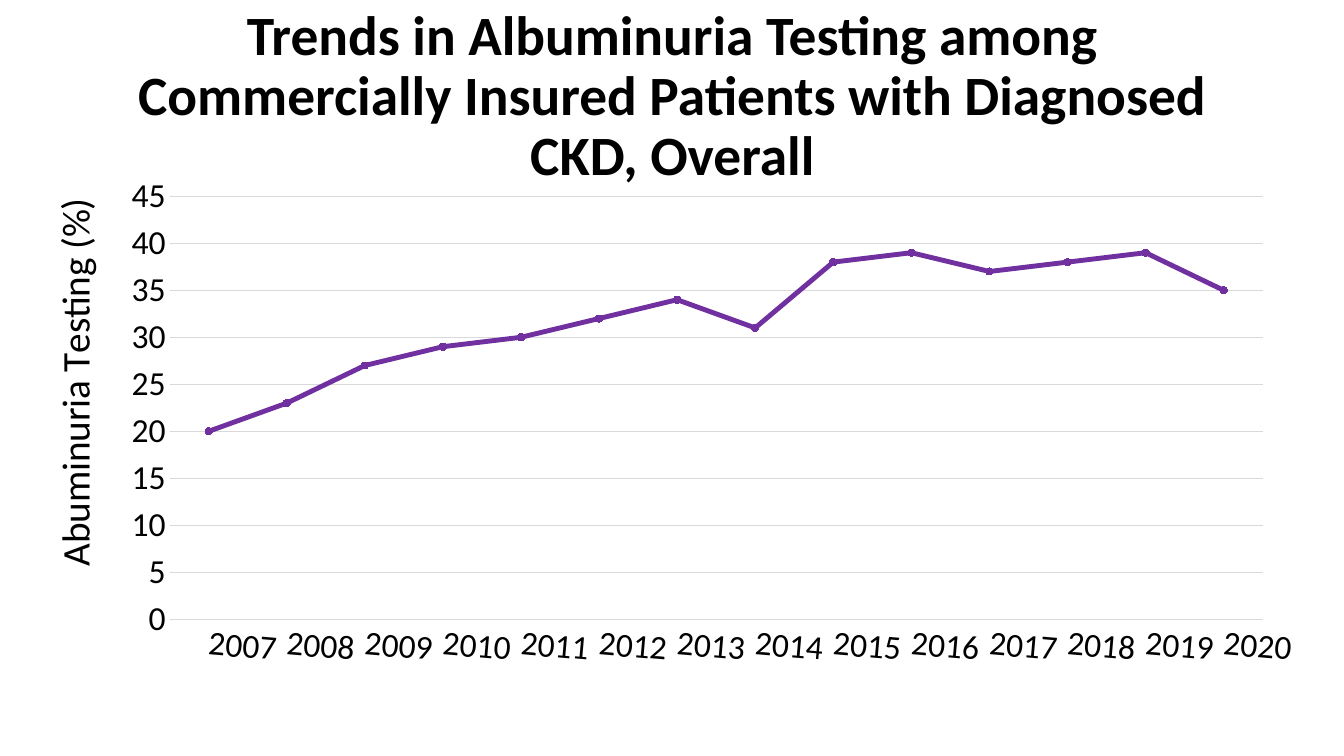
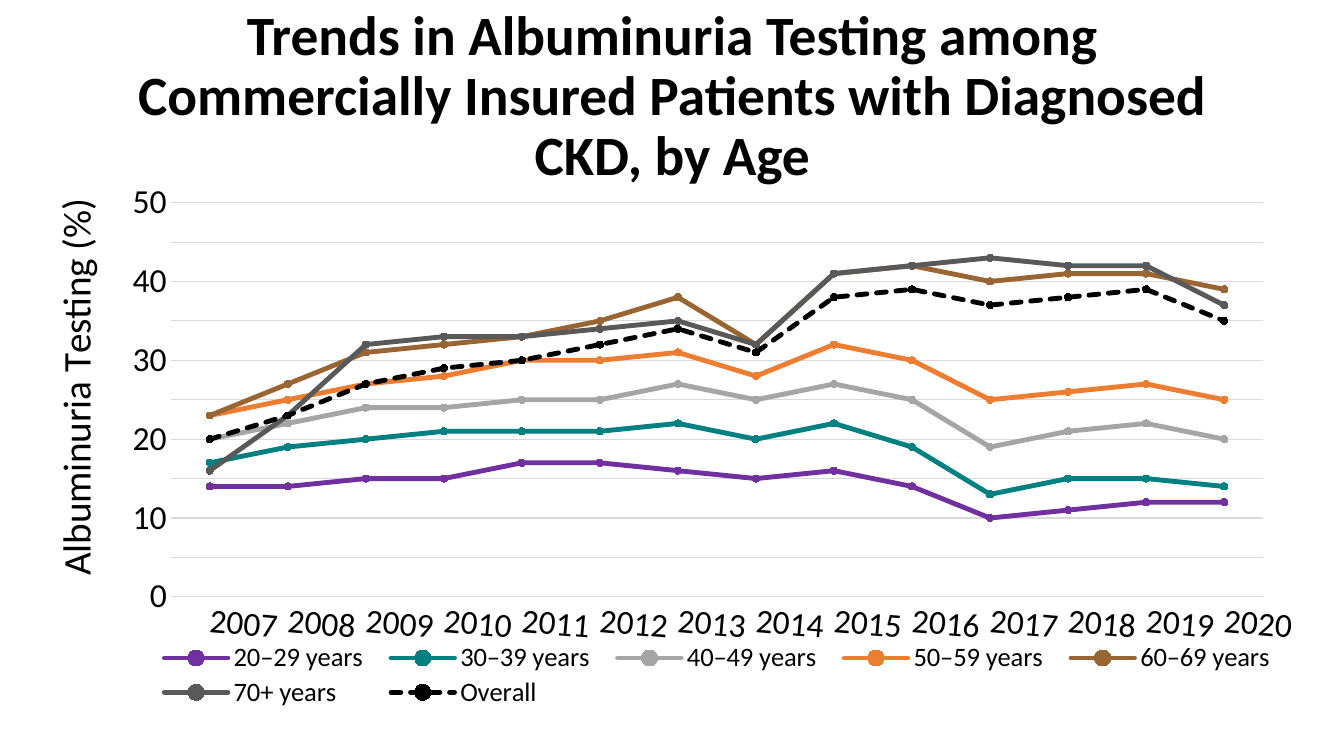
import copy
import dataclasses
import pptx
import pptx.chart.data
import pptx.dml.color
import pptx.enum.chart
import pptx.enum.dml
import pptx.enum.text
import pptx.oxml
import pptx.oxml.ns
import pptx.util

Cm = pptx.util.Cm
Pt = pptx.util.Pt
qn = pptx.oxml.ns.qn
LINE = pptx.enum.dml.MSO_LINE


@dataclasses.dataclass(frozen=True)
class Theme:
    font: str = "Calibri"
    ink: str = "000000"
    grid: str = "D9D9D9"
    violet: str = "7030A0"
    teal: str = "008080"
    silver: str = "A5A5A5"
    orange: str = "ED7D31"
    brown: str = "996633"
    slate: str = "595959"
    head: float = 39.6
    label: int = 28
    tick: int = 24
    key: int = 19
    base: int = 10
    rule: float = 0.75
    trace: float = 3.5
    dot: int = 5


THEME = Theme()
HEAD = "Trends in Albuminuria Testing among Commercially Insured Patients with Diagnosed CKD, "
YEARS = [str(year) for year in range(2007, 2021)]
TOTAL = [20, 23, 27, 29, 30, 32, 34, 31, 38, 39, 37, 38, 39, 35]
AGES = [
    ("20–29 years", THEME.violet, [14, 14, 15, 15, 17, 17, 16, 15, 16, 14, 10, 11, 12, 12]),
    ("30–39 years", THEME.teal, [17, 19, 20, 21, 21, 21, 22, 20, 22, 19, 13, 15, 15, 14]),
    ("40–49 years", THEME.silver, [20, 22, 24, 24, 25, 25, 27, 25, 27, 25, 19, 21, 22, 20]),
    ("50–59 years", THEME.orange, [23, 25, 27, 28, 30, 30, 31, 28, 32, 30, 25, 26, 27, 25]),
    ("60–69 years", THEME.brown, [23, 27, 31, 32, 33, 35, 38, 32, 41, 42, 40, 41, 41, 39]),
    ("70+ years", THEME.slate, [16, 23, 32, 33, 33, 34, 35, 32, 41, 42, 43, 42, 42, 37]),
    ("Overall", THEME.ink, TOTAL),
]


def color(value):
    return pptx.dml.color.RGBColor.from_string(value)


def style(font, size, bold=False):
    font.name, font.size, font.bold = THEME.font, Pt(size), bold
    font.color.rgb = color(THEME.ink)


def place(shape, box):
    shape.left, shape.top, shape.width, shape.height = [Cm(side) for side in box]


def pin(node, inner=False, **sides):
    """Give a chart part a fixed place, in fractions of the chart."""
    old = node.find(qn("c:layout"))
    if old is not None:
        node.remove(old)
    modes = '<c:layoutTarget val="inner"/>' if inner else ""
    modes += '<c:xMode val="edge"/><c:yMode val="edge"/>'
    parts = "".join(f'<c:{side} val="{size}"/>' for side, size in sides.items())
    layout = pptx.oxml.parse_xml(
        f'<c:layout {pptx.oxml.ns.nsdecls("c")}><c:manualLayout>'
        f"{modes}{parts}</c:manualLayout></c:layout>")
    over = node.find(qn("c:overlay"))
    if over is None:
        node.insert(0, layout)
    else:
        over.addprevious(layout)


def rule(line):
    line.color.rgb = color(THEME.grid)
    line.width = Pt(THEME.rule)


def add_title(slide, text, box):
    title = slide.shapes.title
    place(title, box)
    frame = title.text_frame
    frame.text = text
    frame.word_wrap = True
    frame.auto_size = pptx.enum.text.MSO_AUTO_SIZE.NONE
    frame.vertical_anchor = pptx.enum.text.MSO_ANCHOR.MIDDLE
    para = frame.paragraphs[0]
    para.alignment = pptx.enum.text.PP_ALIGN.CENTER
    para.line_spacing = 0.9
    para.space_before = Pt(0)
    style(para.runs[0].font, THEME.head, True)


def set_axes(chart, label, top, step):
    none = pptx.enum.chart.XL_TICK_MARK.NONE
    years, rates = chart.category_axis, chart.value_axis
    for axis in (years, rates):
        axis.major_tick_mark = axis.minor_tick_mark = none
        style(axis.tick_labels.font, THEME.tick)
    rule(years.format.line)

    # Value scale and gridlines
    rates.format.line.fill.background()
    rates.minimum_scale, rates.maximum_scale = 0, top
    rates.major_unit, rates.minor_unit = step, 5
    rates.tick_labels.number_format = "0"
    rates.tick_labels.number_format_is_linked = False
    rates.has_major_gridlines = True
    rule(rates.major_gridlines.format.line)
    scale = chart.element.find(".//" + qn("c:valAx"))
    if step > 5:
        rates.has_minor_gridlines = True
        look = scale.find(qn("c:majorGridlines")).find(qn("c:spPr"))
        scale.find(qn("c:minorGridlines")).append(copy.deepcopy(look))

    # Upright axis title and slanted years
    frame = rates.axis_title.text_frame
    frame.text = label
    style(frame.paragraphs[0].runs[0].font, THEME.label)
    title = scale.find(qn("c:title"))
    body = next(title.iter(qn("a:bodyPr")))
    body.set("rot", "-5400000")
    body.set("vert", "horz")
    pin(title, x=0.01, y=0.04)
    ticks = chart.element.find(".//" + qn("c:catAx")).find(qn("c:txPr"))
    ticks.find(qn("a:bodyPr")).set("rot", "300000")


def set_lines(chart, rows):
    plot = chart.plots[0]
    plot.vary_by_categories = False
    for series, (name, tone, rates) in zip(plot.series, rows):
        series.smooth = False
        line = series.format.line
        line.color.rgb = color(tone)
        line.width = Pt(THEME.trace)
        if tone == THEME.ink:
            line.dash_style = LINE.SQUARE_DOT
        mark = series.marker
        mark.style = pptx.enum.chart.XL_MARKER_STYLE.CIRCLE
        mark.size = THEME.dot
        mark.format.fill.solid()
        mark.format.fill.fore_color.rgb = color(tone)
        mark.format.line.color.rgb = color(tone)
    for node in chart.element.iter(qn("c:ser")):
        node.find(qn("c:spPr")).find(qn("a:ln")).set("cap", "rnd")


def set_key(chart):
    chart.has_legend = True
    key = chart.legend
    key.position = pptx.enum.chart.XL_LEGEND_POSITION.BOTTOM
    key.include_in_layout = False
    style(key.font, THEME.key)
    pin(chart.element.find(".//" + qn("c:legend")), x=0.09, y=0.87, w=0.89, h=0.13)


def add_trend(slide, box, rows, label, top, step, area):
    data = pptx.chart.data.CategoryChartData()
    data.categories = YEARS
    for name, tone, rates in rows:
        data.add_series(name, rates)
    kind = pptx.enum.chart.XL_CHART_TYPE.LINE_MARKERS
    chart = slide.shapes.add_chart(kind, *[Cm(side) for side in box], data).chart
    chart.has_title = False
    chart.has_legend = False
    style(chart.font, THEME.base)
    set_axes(chart, label, top, step)
    set_lines(chart, rows)
    pin(chart.element.find(".//" + qn("c:plotArea")), True, **area)
    if len(rows) > 1:
        set_key(chart)


def add_page(deck, group, box, **trend):
    slide = deck.slides.add_slide(deck.slide_layouts[5])
    add_title(slide, HEAD + group, (2.34, 0.61, 29.21, 3.68))
    add_trend(slide, box, **trend)


def main():
    deck = pptx.Presentation()
    deck.slide_width, deck.slide_height = Cm(33.87), Cm(19.05)
    # All patients
    add_page(deck, "Overall", (0.71, 4.29, 32.41, 13.16),
             rows=[("Overall", THEME.violet, TOTAL)],
             label="Abuminuria Testing (%)", top=45, step=5,
             area=dict(x=0.11, y=0.05, w=0.85, h=0.81))
    # Age groups
    add_page(deck, "by Age", (0.74, 4.29, 32.39, 13.61), rows=AGES,
             label="Albuminuria Testing (%)", top=50, step=10,
             area=dict(x=0.11, y=0.06, w=0.85, h=0.73))
    deck.save("out.pptx")


if __name__ == "__main__":
    main()
